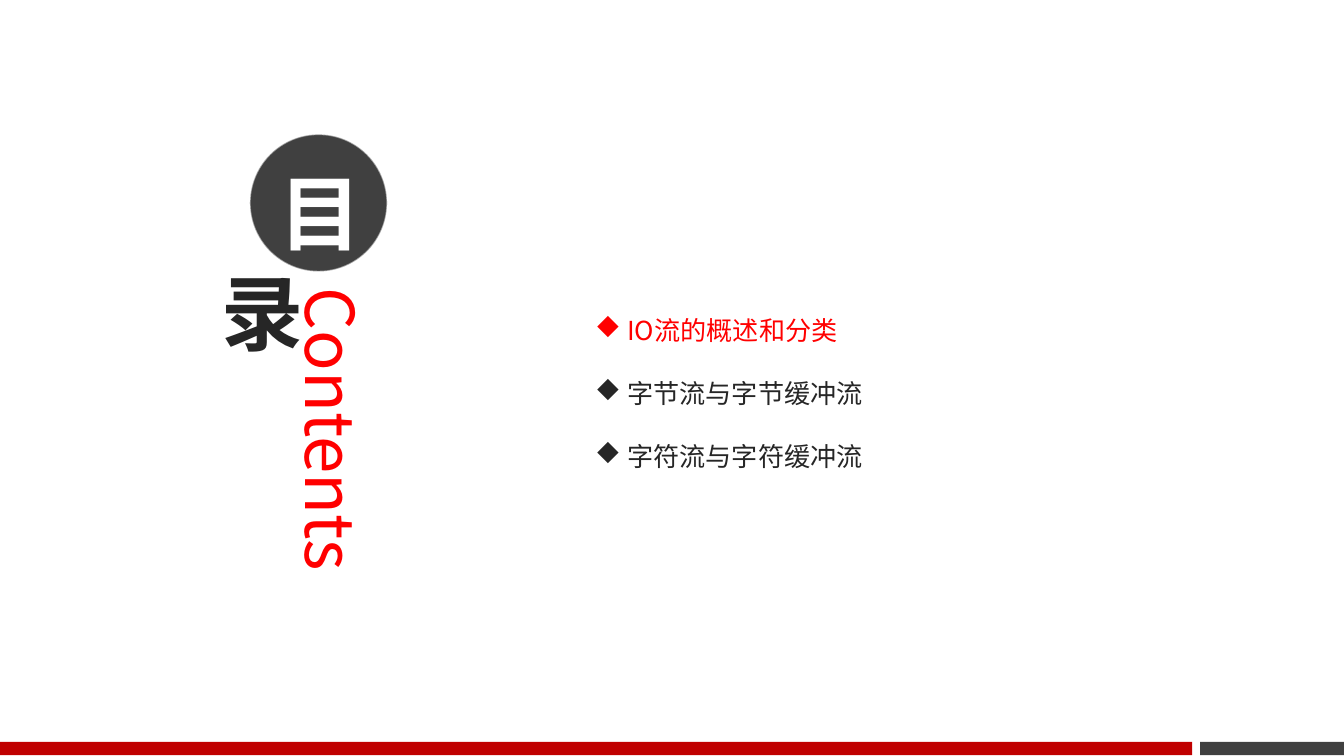
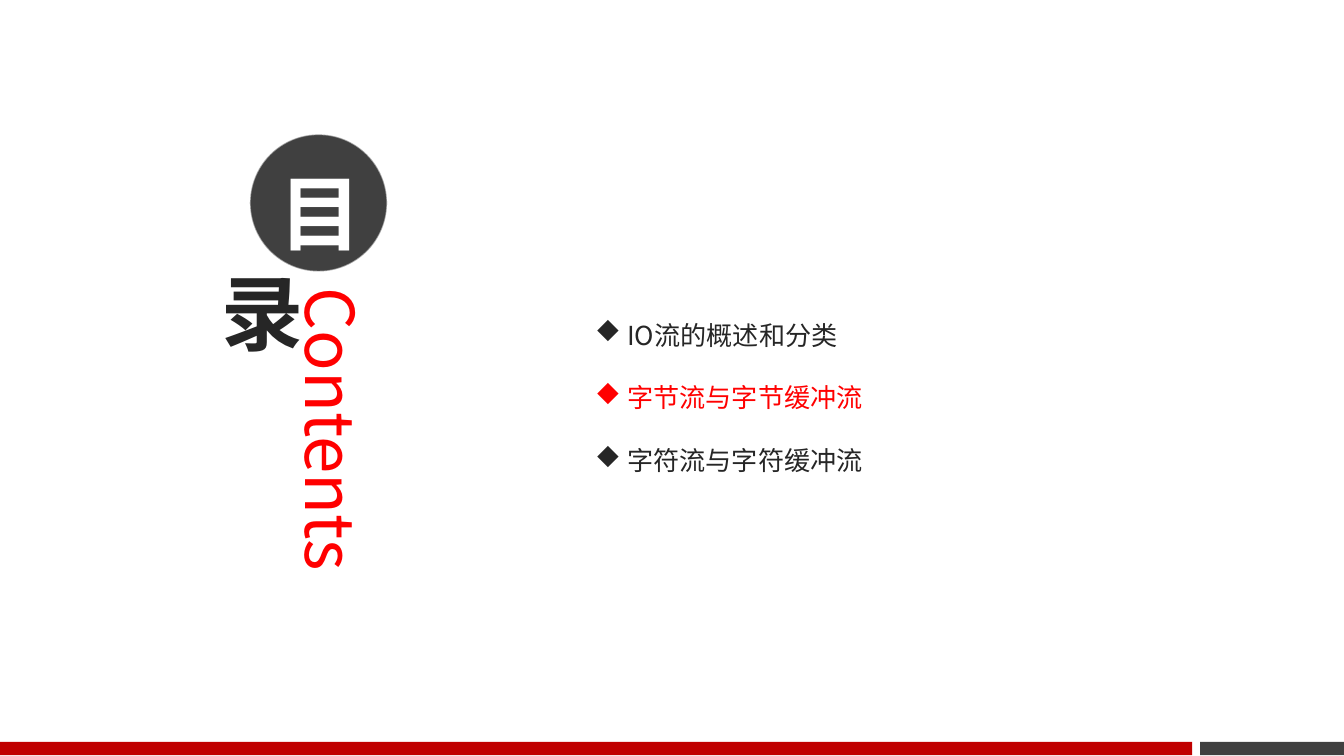
from lxml.etree import SubElement
from pptx import Presentation
from pptx.dml.color import RGBColor
from pptx.enum.shapes import MSO_SHAPE
from pptx.enum.text import MSO_ANCHOR, MSO_AUTO_SIZE, PP_ALIGN
from pptx.oxml.ns import qn
from pptx.util import Inches, Pt

FONT = "Noto Sans CJK SC"
RED = RGBColor(0xFF, 0x00, 0x00)
BAND = RGBColor(0xC0, 0x00, 0x00)
GREY = RGBColor(0x40, 0x40, 0x40)
INK = RGBColor(0x26, 0x26, 0x26)
WHITE = RGBColor(0xFF, 0xFF, 0xFF)

TOPICS = ["IO流的概述和分类", "字节流与字节缓冲流", "字符流与字符缓冲流"]
AGENDAS = [(0, 2.06), (1, 2.09)]  # current topic, top of the list
BANDS = [(8.93, 1.07, GREY), (0, 8.87, BAND)]  # left, width, colour
INSETS = (0.07, 0.04, 0.07, 0.04)


def style(para, size, color, bold=False):
    font = para.font
    font.name, font.size, font.bold = FONT, Pt(size), bold
    font.color.rgb = color
    props = para._p.pPr.find(qn("a:defRPr"))
    SubElement(props, qn("a:ea")).set("typeface", FONT)
    return props


def pad(frame, insets):
    (frame.margin_left, frame.margin_top,
     frame.margin_right, frame.margin_bottom) = map(Inches, insets)


def add_form(slide, kind, box, fill=None):
    form = slide.shapes.add_shape(kind, *map(Inches, box))
    form.shadow.inherit = False
    form.line.fill.background()
    if fill is None:
        form.fill.background()
    else:
        form.fill.solid()
        form.fill.fore_color.rgb = fill
    return form


def add_box(slide, box):
    frame = slide.shapes.add_textbox(*map(Inches, box)).text_frame
    frame.word_wrap = True
    return frame


def add_glyph(slide, box, glyph, color, fill=None, insets=INSETS):
    """Add a circle that holds one large character."""
    disc = add_form(slide, MSO_SHAPE.OVAL, box, fill)
    frame = disc.text_frame
    frame.word_wrap = True
    frame.vertical_anchor = MSO_ANCHOR.MIDDLE
    pad(frame, insets)
    para = frame.paragraphs[0]
    para.text = glyph
    para.alignment = PP_ALIGN.CENTER
    return disc, para, style(para, 44, color, True)


def add_outline(props):
    """Give the text a thin white outline."""
    line = SubElement(props, qn("a:ln"), w=str(Pt(0.25)))
    fill = SubElement(line, qn("a:solidFill"))
    SubElement(fill, qn("a:srgbClr"), val=str(WHITE))
    props.insert(0, line)


def add_title(slide):
    frame = add_box(slide, (2.14, 2.1, 0.7, 2.89))
    pad(frame, INSETS)
    frame._txBody.bodyPr.set("vert", "eaVert")
    para = frame.paragraphs[0]
    para.text = "Contents"
    style(para, 36, RED)

    disc, para, _ = add_glyph(slide, (1.86, 1, 1.02, 1.02), "目", WHITE,
                              GREY, (0.07, 0.04, 0.07, 0.15))
    disc.line.color.rgb = WHITE
    disc.line.width = Pt(0)
    tint = disc._element.spPr.find(".//" + qn("a:ln")).find(".//" + qn("a:srgbClr"))
    SubElement(tint, qn("a:alpha"), val="49000")
    para.line_spacing = Pt(70)

    _, _, props = add_glyph(slide, (1.46, 1.92, 0.8, 0.8), "录", INK)
    add_outline(props)


def add_bullet(para, color):
    """Add a diamond, which is the letter u in Wingdings."""
    props = para._p.get_or_add_pPr()
    props.set("marL", str(Inches(0.69)))
    props.set("indent", str(Inches(-0.19)))
    tint = SubElement(props, qn("a:buClr"))
    SubElement(tint, qn("a:srgbClr"), val=str(color))
    SubElement(props, qn("a:buFont"), typeface="Wingdings", charset="2")
    SubElement(props, qn("a:buChar"), char="u")


def add_topics(slide, current, top):
    frame = add_box(slide, (3.83, top, 4.72, 1.51))
    frame.auto_size = MSO_AUTO_SIZE.SHAPE_TO_FIT_TEXT
    for i, topic in enumerate(TOPICS):
        para = frame.add_paragraph() if i else frame.paragraphs[0]
        color = RED if i == current else INK
        para.text = " " + topic
        para.level = 1
        para.line_spacing = 2.0
        add_bullet(para, color)
        style(para, 14, color)


def main():
    deck = Presentation()
    deck.slide_width = Inches(10)
    deck.slide_height = deck.slide_width * 9 // 16
    for current, top in AGENDAS:
        slide = deck.slides.add_slide(deck.slide_layouts[6])
        for left, width, color in BANDS:
            add_form(slide, MSO_SHAPE.RECTANGLE, (left, 5.52, width, 0.1), color)
        add_title(slide)
        add_topics(slide, current, top)
    deck.save("out.pptx")


if __name__ == "__main__":
    main()
